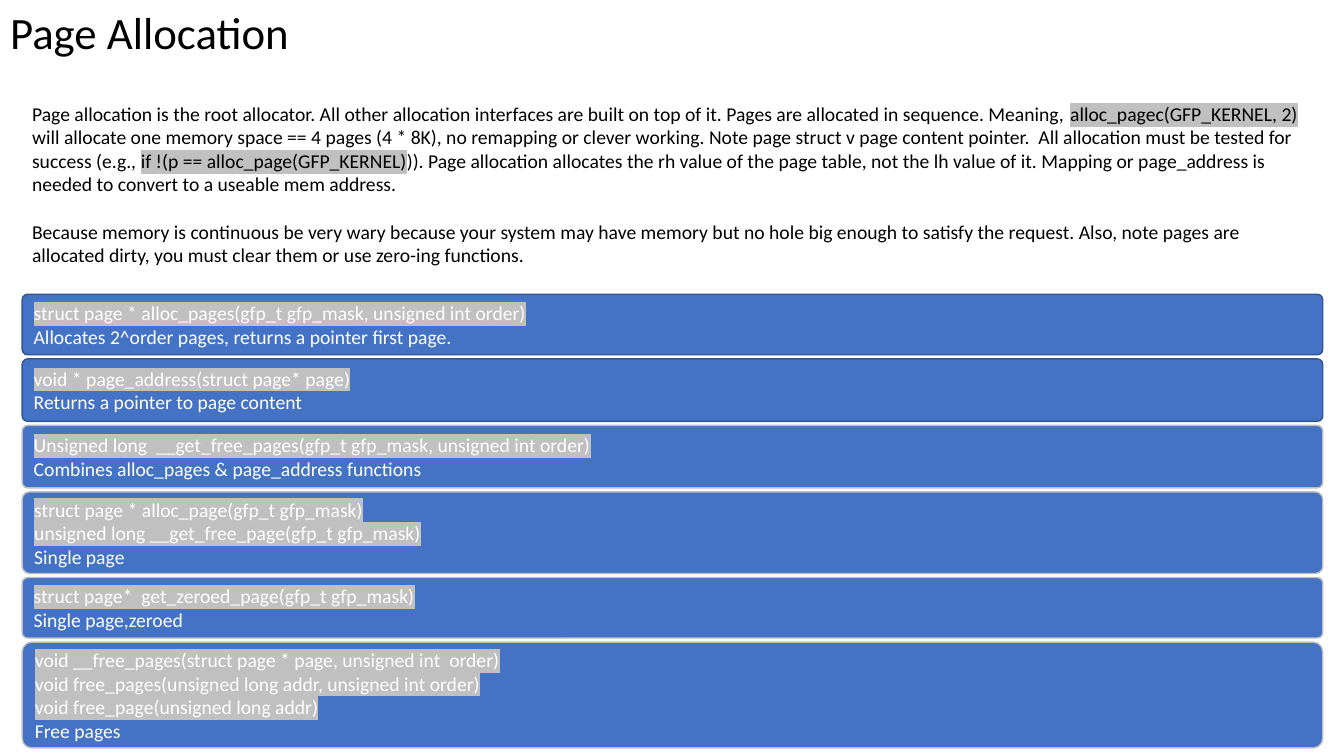
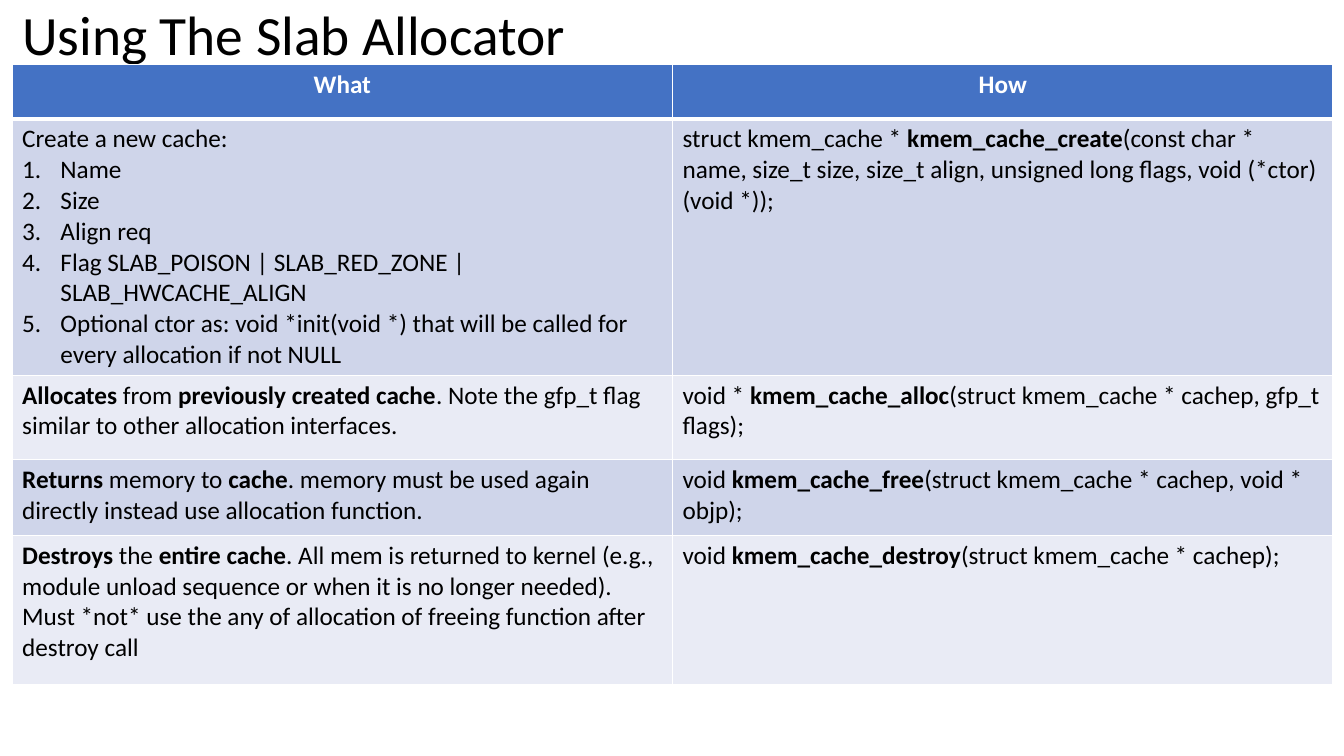
from dataclasses import dataclass

from lxml import etree
from pptx import Presentation
from pptx import util as u
from pptx.dml.color import RGBColor
from pptx.enum import shapes, text
from pptx.oxml import ns


@dataclass(frozen=True)
class Theme:
    font: str = "Calibri"
    black: str = "000000"
    white: str = "FFFFFF"
    blue: str = "4472C4"
    dark_edge: str = "325491"
    light_edge: str = "BFBFBF"
    highlight: str = "C0C0C0"
    bands: tuple = ("CFD5EA", "E9EBF5")
    text_size: float = 14
    table_size: float = 18


THEME = Theme()
MARK = "~"
LEFT, WIDTH = 0.22, 12.9

INTRO = [
    "Page allocation is the root allocator. All other allocation interfaces are built on top of it. "
    "Pages are allocated in sequence. Meaning, ~alloc_pagec(GFP_KERNEL, 2)~ will allocate one memory "
    "space == 4 pages (4 * 8K), no remapping or clever working. Note page struct v page content pointer.  "
    "All allocation must be tested for success (e.g., ~if !(p == alloc_page(GFP_KERNEL)~)). Page allocation "
    "allocates the rh value of the page table, not the lh value of it. Mapping or page_address is needed "
    "to convert to a useable mem address.",
    "Because memory is continuous be very wary because your system may have memory but no hole big enough "
    "to satisfy the request. Also, note pages are allocated dirty, you must clear them or use zero-ing functions.",
]

FUNCTIONS = [
    (0.6, THEME.dark_edge, [
        "~struct page * alloc_pages(gfp_t gfp_mask, unsigned int order)~",
        "Allocates 2^order pages, returns a pointer first page."]),
    (0.62, THEME.dark_edge, [
        "~void * page_address(struct page* page)~",
        "Returns a pointer to page content"]),
    (0.62, THEME.light_edge, [
        "~Unsigned long  __get_free_pages(gfp_t gfp_mask, unsigned int order)~",
        "Combines alloc_pages & page_address functions"]),
    (0.81, THEME.light_edge, [
        "~struct page * alloc_page(gfp_t gfp_mask)~",
        "~unsigned long __get_free_page(gfp_t gfp_mask)~",
        "Single page"]),
    (0.6, THEME.light_edge, [
        "~struct page*  get_zeroed_page(gfp_t gfp_mask)~",
        "Single page,zeroed"]),
    (1.05, THEME.light_edge, [
        "~void __free_pages(struct page * page, unsigned int  order)~",
        "~void free_pages(unsigned long addr, unsigned int order)~",
        "~void free_page(unsigned long addr)~",
        "Free pages"]),
]

SLAB_ROWS = [
    (0.54, ["~What~"], ["~How~"]),
    (2.45,
     ["Create a new cache:", "Name", "Size", "Align req",
      "Flag SLAB_POISON | SLAB_RED_ZONE | SLAB_HWCACHE_ALIGN",
      "Optional ctor as: void *init(void *) that will be called for every allocation if not NULL"],
     ["struct kmem_cache * ~kmem_cache_create~(const char * name, size_t size, size_t align, "
      "unsigned long flags, void (*ctor) (void *));"]),
    (0.84,
     ["~Allocates~ from ~previously created cache~. Note the gfp_t flag similar to other allocation interfaces."],
     ["void * ~kmem_cache_alloc~(struct kmem_cache * cachep, gfp_t flags);"]),
    (0.75,
     ["~Returns~ memory to ~cache~. memory must be used again directly instead use allocation function."],
     ["void ~kmem_cache_free~(struct kmem_cache * cachep, void * objp);"]),
    (1.48,
     ["~Destroys~ the ~entire cache~. All mem is returned to kernel (e.g., module unload sequence or when "
      "it is no longer needed). Must *not* use the any of allocation of freeing function after destroy call"],
     ["void ~kmem_cache_destroy~(struct kmem_cache * cachep);"]),
]


def apply(target, values):
    for name, value in values.items():
        setattr(target, name, value)


def inches(*lengths):
    return [u.Inches(length) for length in lengths]


def paint(fill, color):
    fill.solid()
    fill.fore_color.rgb = RGBColor.from_string(color)


def add_color(parent, tag, color):
    holder = etree.SubElement(parent, ns.qn(tag))
    etree.SubElement(holder, ns.qn("a:srgbClr"), val=color)
    return holder


def highlight(run):
    properties = run.font._element
    mark = add_color(properties, "a:highlight", THEME.highlight)
    properties.find(ns.qn("a:solidFill")).addnext(mark)


def embolden(run):
    run.font.bold = True


def write(frame, lines, size, color, emphasize=None, **paragraph_format):
    for index, line in enumerate(lines):
        paragraph = frame.paragraphs[0] if index == 0 else frame.add_paragraph()
        apply(paragraph, {"alignment": text.PP_ALIGN.LEFT, **paragraph_format})
        for position, words in enumerate(line.split(MARK)):
            if not words:
                continue
            run = paragraph.add_run()
            run.text = words
            apply(run.font, {"name": THEME.font, "size": u.Pt(size), "bold": False})
            run.font.color.rgb = RGBColor.from_string(color)
            if position % 2:
                emphasize(run)


def number(paragraph):
    properties = paragraph._p.get_or_add_pPr()
    indent = u.Inches(0.38)
    properties.set("marL", str(indent))
    properties.set("indent", str(-indent))
    etree.SubElement(properties, ns.qn("a:buFont"), typeface="+mj-lt")
    etree.SubElement(properties, ns.qn("a:buAutoNum"), type="arabicPeriod")


def add_titled_slide(deck, heading, place, size):
    slide = deck.slides.add_slide(deck.slide_layouts.get_by_name("Title Only"))
    title = slide.shapes.title
    apply(title, dict(zip(("left", "top", "width", "height"), inches(*place))))
    apply(title.text_frame, {"vertical_anchor": text.MSO_ANCHOR.MIDDLE,
                             "auto_size": text.MSO_AUTO_SIZE.NONE, "word_wrap": True})
    write(title.text_frame, [heading], size, THEME.black, line_spacing=0.9)
    return slide


def add_intro(slide):
    intro = slide.shapes.add_textbox(*inches(LEFT, 0.96, WIDTH, 1.75)).text_frame
    intro.word_wrap = True
    write(intro, INTRO, THEME.text_size, THEME.black, highlight)
    intro.paragraphs[0].space_after = u.Pt(17)


def add_function_box(slide, top, height, edge, lines):
    box = slide.shapes.add_shape(shapes.MSO_SHAPE.ROUNDED_RECTANGLE,
                                 *inches(LEFT, top, WIDTH, height))
    box.adjustments[0] = 0.09
    box.shadow.inherit = False
    paint(box.fill, THEME.blue)
    paint(box.line.fill, edge)
    box.line.width = u.Pt(1)
    apply(box.text_frame, {"vertical_anchor": text.MSO_ANCHOR.MIDDLE, "word_wrap": True})
    write(box.text_frame, lines, THEME.text_size, THEME.white, highlight)


def add_borders(cell, widths):
    properties = cell._tc.get_or_add_tcPr()
    for index, (side, points) in enumerate(widths.items()):
        border = add_color(properties, f"a:ln{side}", THEME.white)
        border.tag = ns.qn(f"a:ln{side}")
        border.set("w", str(u.Pt(points)))
        fill = etree.Element(ns.qn("a:solidFill"))
        fill.extend(list(border))
        border.append(fill)
        properties.insert(index, border)


def add_slab_table(slide):
    heights = [row[0] for row in SLAB_ROWS]
    table = slide.shapes.add_table(len(SLAB_ROWS), 2,
                                   *inches(0.12, 0.64, 13.1, sum(heights))).table
    for column in table.columns:
        column.width = u.Inches(6.55)
    for row, (height, *contents) in enumerate(SLAB_ROWS):
        table.rows[row].height = u.Inches(height)
        header = row == 0
        fill = THEME.blue if header else THEME.bands[(row - 1) % 2]
        color = THEME.white if header else THEME.black
        alignment = text.PP_ALIGN.CENTER if header else text.PP_ALIGN.LEFT
        widths = {"L": 1, "R": 1, "T": 3 if row == 1 else 1, "B": 3 if header else 1}
        for column, lines in enumerate(contents):
            cell = table.cell(row, column)
            paint(cell.fill, fill)
            add_borders(cell, widths)
            write(cell.text_frame, lines, THEME.table_size, color, embolden, alignment=alignment)
            for item in cell.text_frame.paragraphs[1:]:
                number(item)


def add_page_allocation(deck):
    slide = add_titled_slide(deck, "Page Allocation", (0, 0.04, 11.5, 0.62), 32)
    add_intro(slide)
    top, gap = 2.92, 0.04
    for height, edge, lines in FUNCTIONS:
        add_function_box(slide, top, height, edge, lines)
        top += height + gap


def add_slab_allocator(deck):
    slide = add_titled_slide(deck, "Using The Slab Allocator", (0.12, 0.1, 11.5, 0.54), 39.6)
    add_slab_table(slide)


def main():
    deck = Presentation()
    apply(deck, {"slide_width": u.Inches(13.33), "slide_height": u.Inches(7.5)})
    add_page_allocation(deck)
    add_slab_allocator(deck)
    deck.save("out.pptx")


if __name__ == "__main__":
    main()
